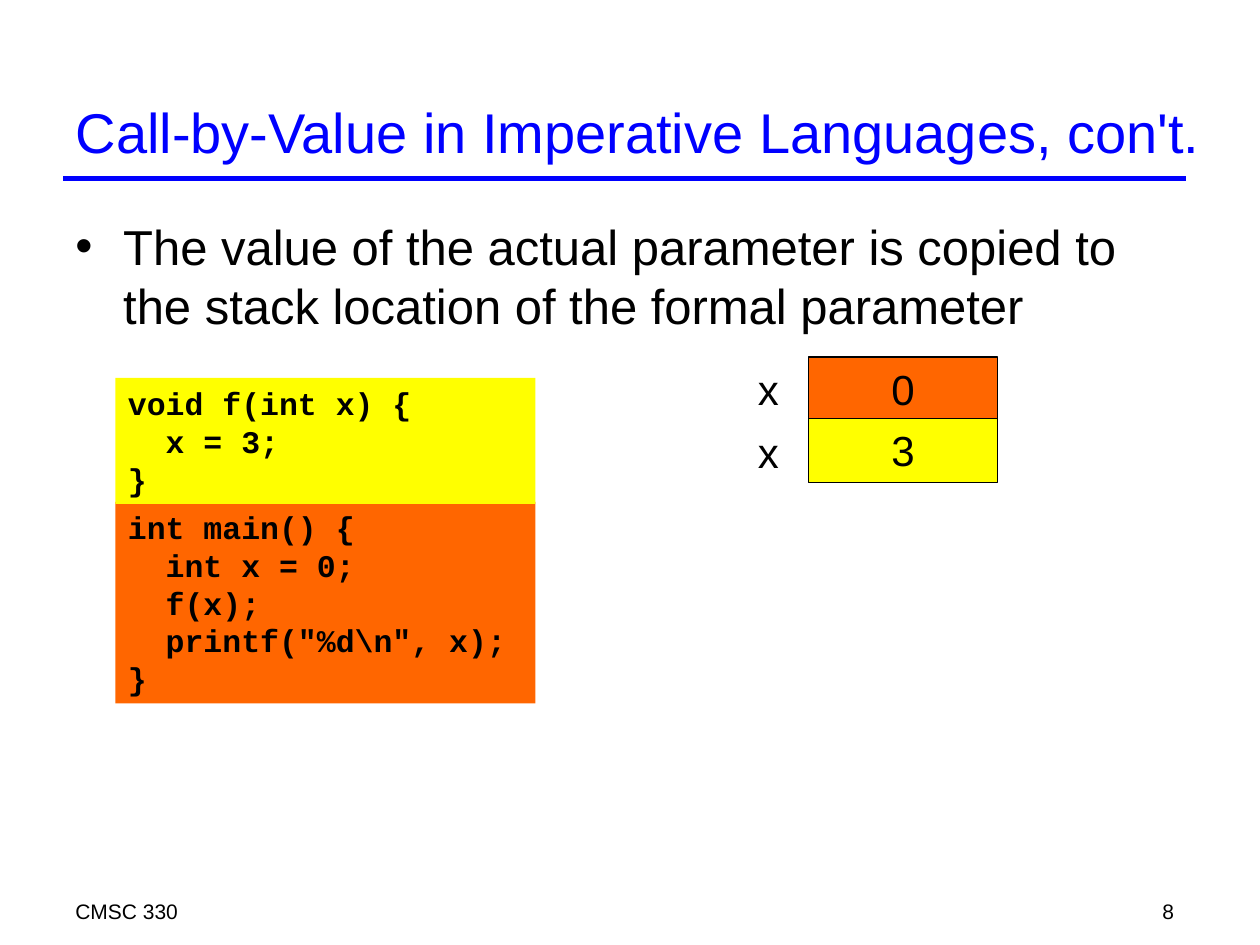
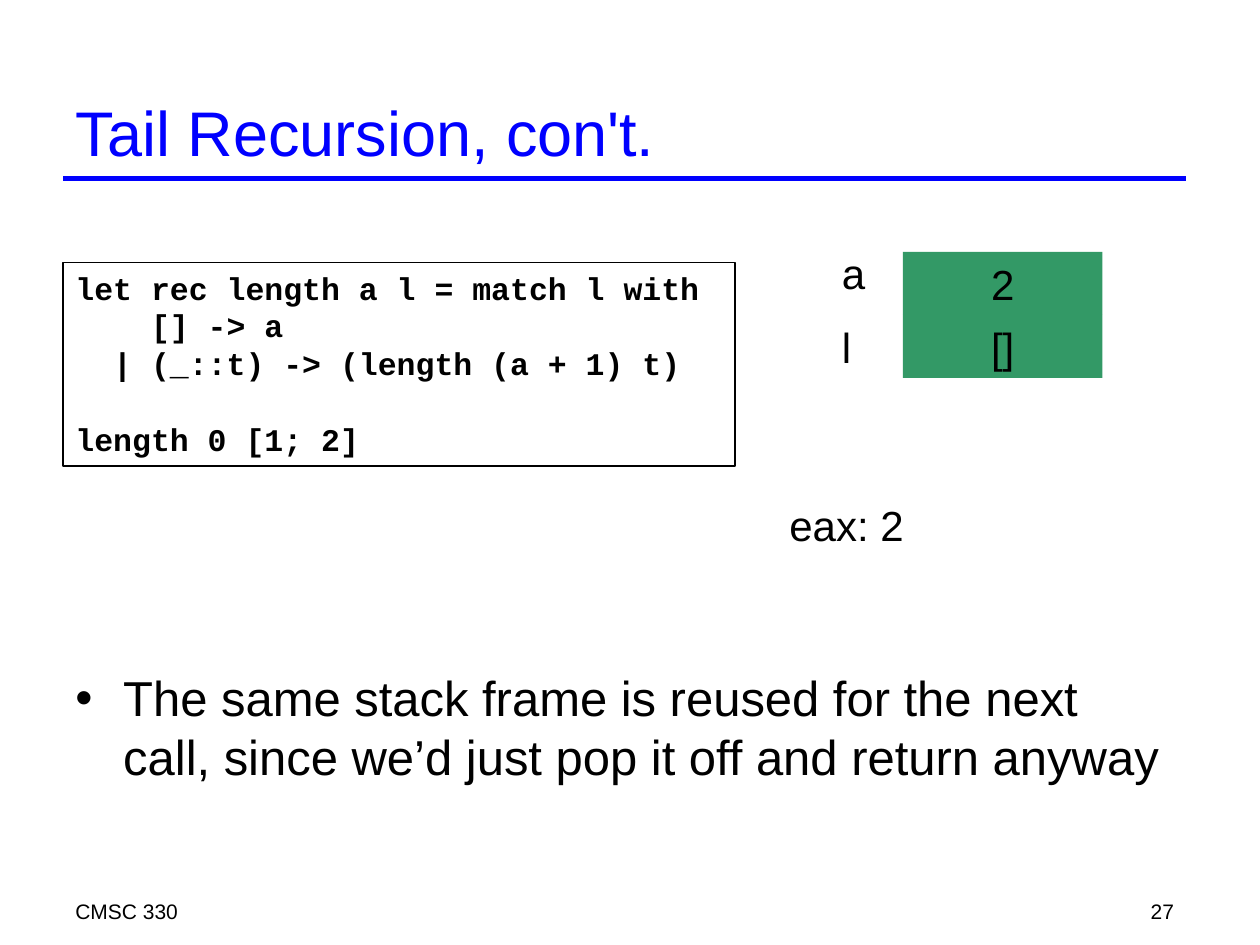
from pptx import Presentation
from pptx.dml.color import RGBColor
from pptx.enum.shapes import MSO_CONNECTOR, MSO_SHAPE
from pptx.enum.text import MSO_ANCHOR, MSO_AUTO_SIZE, PP_ALIGN
from pptx.oxml.ns import qn
from pptx.util import Inches, Pt
from lxml import etree

BLUE = RGBColor(0x00, 0x00, 0xFF)
BLACK = RGBColor(0x00, 0x00, 0x00)
WHITE = RGBColor(0xFF, 0xFF, 0xFF)
ORANGE = RGBColor(0xFF, 0x66, 0x00)
YELLOW = RGBColor(0xFF, 0xFF, 0x00)
GREEN = RGBColor(0x33, 0x99, 0x66)
SANS, MONO = "Arial", "Courier New"
LEFT, CENTER, RIGHT = PP_ALIGN.LEFT, PP_ALIGN.CENTER, PP_ALIGN.RIGHT
TOP, MIDDLE = MSO_ANCHOR.TOP, MSO_ANCHOR.MIDDLE
RECTANGLE, STRAIGHT = MSO_SHAPE.RECTANGLE, MSO_CONNECTOR.STRAIGHT
NO_FIT = MSO_AUTO_SIZE.NONE

WIDTH, HEIGHT = Inches(10), Inches(7.5)
UNIT = WIDTH / 120
MARGIN = 6
BODY_WIDTH = 107
RULE_ROW = 17
FOOTER_ROW = 85
CODE_SIZE, CODE_LINE = 18, 21.6


def grid(*cells):
    return [round(cell * UNIT) for cell in cells]


def format_text(box, size, color=BLACK, font=SANS, align=LEFT, anchor=TOP,
                bold=False, wrap=True):
    frame = box.text_frame
    frame.word_wrap = wrap
    frame.auto_size = NO_FIT
    frame.vertical_anchor = anchor
    for para in frame.paragraphs:
        para.alignment = align
        for span in para.runs:
            span.font.name = font
            span.font.size = Pt(size)
            span.font.bold = bold
            span.font.color.rgb = color


def add_text(page, place, text, size, **style):
    box = page.shapes.add_textbox(*grid(*place))
    box.text_frame.text = text
    format_text(box, size, **style)
    return box


def add_block(page, place, fill=None, line_width=0):
    block = page.shapes.add_shape(RECTANGLE, *grid(*place))
    block.shadow.inherit = False
    if fill is None:
        block.fill.background()
    else:
        block.fill.solid()
        block.fill.fore_color.rgb = fill
    if line_width:
        block.line.color.rgb = BLACK
        block.line.width = Pt(line_width)
    else:
        block.line.fill.background()
    return block


def add_cell(page, place, text, fill, line_width=0, align=CENTER, wrap=True):
    cell = add_block(page, place, fill, line_width)
    cell.text_frame.text = text
    format_text(cell, 24, align=align, wrap=wrap)


def add_code(page, place, sections, fill=None, line_width=0):
    block = add_block(page, place, fill, line_width)
    block.text_frame.text = "\n".join(sections)
    format_text(block, CODE_SIZE, font=MONO, bold=True)
    paras = block.text_frame.paragraphs
    row = 0
    for section in sections:
        if row:
            paras[row].space_before = Pt(CODE_LINE)
        row += len(section.split("\n"))


def add_bullet(page, row, rows, text):
    box = add_text(page, (MARGIN, row, BODY_WIDTH, rows), text, 28)
    properties = box.text_frame.paragraphs[0]._p.get_or_add_pPr()
    indent = Inches(0.38)
    properties.set("marL", str(indent))
    properties.set("indent", str(-indent))
    etree.SubElement(properties, qn("a:buFont")).set("typeface", SANS)
    etree.SubElement(properties, qn("a:buChar")).set("char", "•")


def add_page(deck, title_text, title_size, title_width, number):
    page = deck.slides.add_slide(deck.slide_layouts[5])
    title = page.shapes.title
    title.left, title.top, title.width, title.height = grid(MARGIN, 8, title_width, 9)
    title.text_frame.text = title_text
    format_text(title, title_size, color=BLUE, anchor=MIDDLE)

    ends = grid(MARGIN, RULE_ROW, MARGIN + BODY_WIDTH, RULE_ROW)
    rule = page.shapes.add_connector(STRAIGHT, *ends)
    rule.line.color.rgb = BLUE
    rule.line.width = Pt(3)
    etree.SubElement(rule._element.spPr, qn("a:effectLst"))

    add_text(page, (MARGIN, FOOTER_ROW, 73, 3), "CMSC 330", 12)
    add_text(page, (88, FOOTER_ROW, 25, 3), str(number), 12, align=RIGHT)
    return page


def add_call_by_value(deck):
    page = add_page(deck, "Call-by-Value in Imperative Languages, con't.", 32, 110, 8)
    add_bullet(page, 20, 64, "The value of the actual parameter is copied to "
                             "the stack location of the formal parameter")
    main_code = 'int main() {\n  int x = 0;\n  f(x);\n  printf("%d\\n", x);\n}'
    add_code(page, (11, 47.8, 40, 19.2), [main_code], ORANGE)
    add_code(page, (11, 36, 40, 12), ["void f(int x) {\n  x = 3;\n}"], YELLOW)
    for index, (value, fill) in enumerate((("0", ORANGE), ("3", YELLOW))):
        add_text(page, (71, 34 + 6 * index, 4.4, 6), "x", 24, wrap=False)
        add_cell(page, (77, 34 + 5.85 * index, 18, 6.1), value, fill, 0.75)


def add_tail_recursion(deck):
    page = add_page(deck, "Tail Recursion, con't.", 36, BODY_WIDTH, 27)
    add_bullet(page, 63, 21, "The same stack frame is reused for the next call, "
                             "since we’d just pop it off and return anyway")
    definition = ("let rec length a l = match l with\n    [] -> a\n"
                  "  | (_::t) -> (length (a + 1) t)")
    add_code(page, (MARGIN, 25, 64, 19.4), [definition, "length 0 [1; 2]"], line_width=1)
    for index, (name, value) in enumerate((("a", "2"), ("l", "[]"))):
        add_text(page, (79, 23 + 7 * index, 4.7, 6), name, 24, wrap=False)
        add_cell(page, (86, 24 + 6 * index, 19, 6), value, GREEN)
    add_cell(page, (74, 47, 13.3, 6), "eax: 2", WHITE, align=LEFT, wrap=False)


def main():
    deck = Presentation()
    deck.slide_width, deck.slide_height = WIDTH, HEIGHT
    add_call_by_value(deck)
    add_tail_recursion(deck)
    deck.save("out.pptx")


if __name__ == "__main__":
    main()
